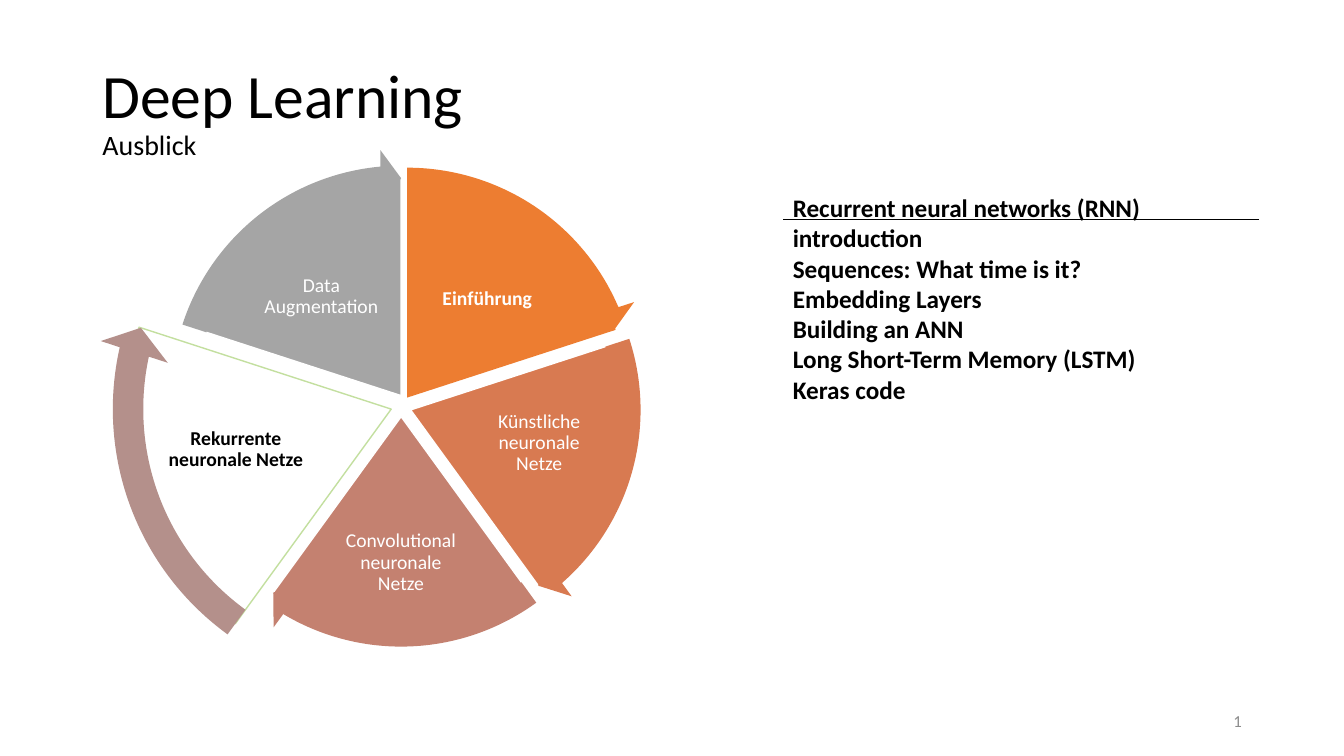
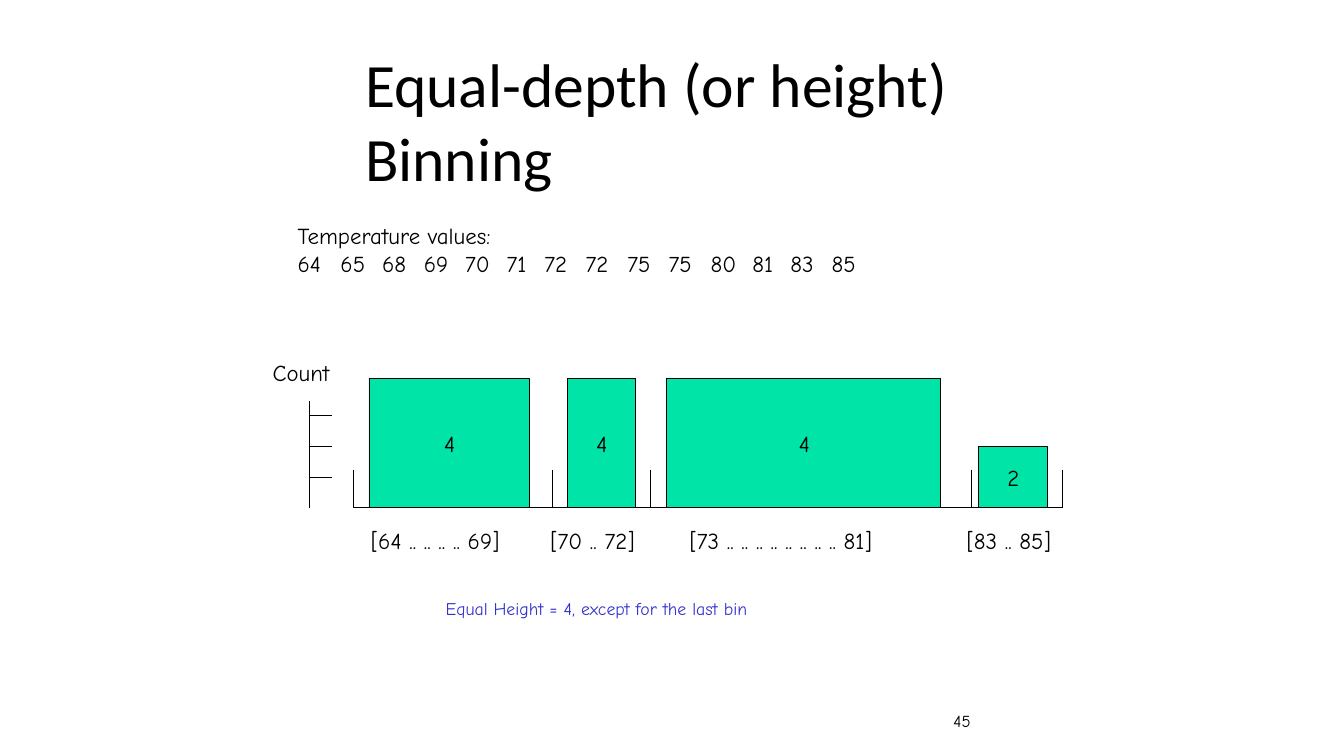
from lxml import etree
from pptx import Presentation
from pptx.dml.color import RGBColor
from pptx.enum import shapes, text
from pptx.oxml.ns import qn
from pptx.util import Cm, Pt

BLACK = RGBColor(0x00, 0x00, 0x00)
WHITE = RGBColor(0xFF, 0xFF, 0xFF)
GREY = RGBColor(0x8C, 0x8C, 0x8C)
ORANGE = RGBColor(0xED, 0x7D, 0x31)
COPPER = RGBColor(0xD8, 0x7A, 0x51)
ROSE = RGBColor(0xC4, 0x81, 0x70)
MAUVE = RGBColor(0xB4, 0x90, 0x8B)
SILVER = RGBColor(0xA5, 0xA5, 0xA5)
LIME = RGBColor(0xC3, 0xDF, 0x9F)
MINT = RGBColor(0x00, 0xE4, 0xA8)
BLUE = RGBColor(0x33, 0x33, 0xCC)

SANS = "Calibri"
COMIC = "Comic Neue"
LEFT, CENTER, RIGHT = (text.PP_ALIGN.LEFT, text.PP_ALIGN.CENTER,
                       text.PP_ALIGN.RIGHT)
TOP, MIDDLE = text.MSO_ANCHOR.TOP, text.MSO_ANCHOR.MIDDLE
USUAL_MARGINS = (0.25, 0.13, 0.25, 0.13)
TIGHT_MARGINS = (0.03, 0.03, 0, 0)
PAGE_NUMBER_BOX = (23.93, 17.65, 7.62, 1.02)

# Clockwise from the top; lengths in cm
SEGMENTS = [
    dict(label="Einführung", centre=(10.26, 10.02), fill=ORANGE, line=None,
         box=(10.5, 6.35, 3.56, 2.36), bold=True),
    dict(label="Künstliche neuronale Netze", centre=(10.35, 10.33),
         fill=COPPER, line=WHITE, box=(11.95, 9.85, 3.28, 2.64)),
    dict(label="Convolutional neuronale Netze", centre=(10.11, 10.50),
         fill=ROSE, line=WHITE, box=(8.53, 12.73, 3.15, 2.9)),
    dict(label="Rekurrente neuronale Netze", centre=(9.86, 10.31),
         fill=WHITE, line=LIME, box=(3.95, 9.75, 3.99, 3.18), bold=True,
         color=BLACK, arrow=MAUVE, pie_size=13.36, arrow_size=15.04),
    dict(label="Data Augmentation", centre=(10.11, 9.97), fill=SILVER,
         line=WHITE, box=(6.32, 6.3, 3.56, 2.36)),
]
PIE_SIZE, ARROW_SIZE = 11.05, 12.42
FULL_TURN = 216  # 360 degrees in adjustment units
FIRST_ANGLE = 162
ARROW_HEAD_ANGLE = 3.275

TOPICS = [
    "Recurrent neural networks (RNN)",
    "introduction",
    "Sequences: What time is it?",
    "Embedding Layers",
    "Building an ANN",
    "Long Short-Term Memory (LSTM)",
    "Keras code",
]

TEMPERATURES = [64, 65, 68, 69, 70, 71, 72, 72, 75, 75, 80, 81, 83, 85]
TAB_STOPS = [1.08, 2.13, 3.18, 4.22, 5.27, 6.22, 7.26, 8.31, 9.35, 10.41,
             11.46, 12.42, 13.46]
BASELINE = 12.79
BIN_EDGES = [8.92, 13.91, 16.4, 24.47, 26.77]
EDGE_HEIGHT = 0.95
# count, bar left, bar width, bar height, label, label left, label width
BINS = [
    (4, 9.3, 4.04, 3.26, "[64 .. .. .. .. 69]", 9.32, 3.91),
    (4, 14.29, 1.73, 3.26, "[70 .. 72]", 13.84, 2.54),
    (4, 16.8, 6.91, 3.26, "[73 .. .. .. .. .. .. .. .. 81]", 17.35, 5.66),
    (2, 24.66, 1.73, 1.54, "[83 .. 85]", 24.33, 2.54),
]
COUNT_AXIS = dict(left=7.79, right=8.37, top=10.11, step=0.77, ticks=3)


def place(values):
    return [Cm(value) for value in values]


def style_span(span, size, font=SANS, color=BLACK, bold=False):
    span.font.size = Pt(size)
    span.font.name = font
    span.font.color.rgb = color
    span.font.bold = bold


def set_frame(frame, margins, anchor):
    frame.word_wrap = True
    frame.auto_size = text.MSO_AUTO_SIZE.NONE
    frame.vertical_anchor = anchor
    (frame.margin_left, frame.margin_top,
     frame.margin_right, frame.margin_bottom) = place(margins)


def write(shape, lines, size, align=LEFT, anchor=TOP, margins=TIGHT_MARGINS,
          spacing=1.0, **style):
    """Fill a shape with one paragraph per line."""
    frame = shape.text_frame
    set_frame(frame, margins, anchor)
    for index, line in enumerate(lines):
        para = frame.add_paragraph() if index else frame.paragraphs[0]
        para.alignment = align
        para.line_spacing = spacing
        span = para.add_run()
        span.text = line
        style_span(span, size, **style)
    return frame


def add_text(page, box, lines, size, **options):
    return write(page.shapes.add_textbox(*place(box)), lines, size, **options)


def add_line(page, start, end, width):
    line = page.shapes.add_connector(
        shapes.MSO_CONNECTOR.STRAIGHT, *place(start + end))
    line.line.color.rgb = BLACK
    line.line.width = Pt(width)
    etree.SubElement(line._element.spPr, qn("a:effectLst"))


def add_strokes(page, strokes):
    """Draw several open polylines as one outline."""
    builder = page.shapes.build_freeform(*place(strokes[0][0]))
    for index, (first, *others) in enumerate(strokes):
        if index:
            builder.move_to(*place(first))
        builder.add_line_segments([place(point) for point in others],
                                  close=False)
    outline = builder.convert_to_shape()
    outline.shadow.inherit = False
    outline.fill.background()
    outline.line.color.rgb = BLACK
    outline.line.width = Pt(0.6)


def add_shape(page, kind, box, fill, line=None, width=1, adjustments=()):
    shape = page.shapes.add_shape(kind, *place(box))
    shape.shadow.inherit = False
    shape.fill.solid()
    shape.fill.fore_color.rgb = fill
    if line is None:
        shape.line.fill.background()
    else:
        shape.line.color.rgb = line
        shape.line.width = Pt(width)
    for index, value in enumerate(adjustments):
        shape.adjustments[index] = value
    return shape


def add_page(deck, box, title, subtitle=None, margins=USUAL_MARGINS,
             spacing=1.0):
    page = deck.slides.add_slide(deck.slide_layouts[5])
    heading = page.shapes.title
    heading.left, heading.top, heading.width, heading.height = place(box)
    frame = write(heading, [title], 44, anchor=MIDDLE, margins=margins,
                  spacing=spacing)
    if subtitle:
        para = frame.paragraphs[0]
        para.add_line_break()
        span = para.add_run()
        span.text = subtitle
        style_span(span, 20)
    return page


def square(centre, size):
    return (centre[0] - size / 2, centre[1] - size / 2, size, size)


def add_cycle(page):
    step = FULL_TURN / len(SEGMENTS)
    angles = [((FIRST_ANGLE + step * index) % FULL_TURN,
               (FIRST_ANGLE + step * (index + 1)) % FULL_TURN)
              for index in range(len(SEGMENTS))]
    for segment, (start, end) in zip(SEGMENTS, angles):
        add_shape(page, shapes.MSO_SHAPE.PIE,
                  square(segment["centre"], segment.get("pie_size", PIE_SIZE)),
                  segment["fill"], segment["line"], adjustments=(start, end))
        add_text(page, segment["box"], [segment["label"]], 14, align=CENTER,
                 anchor=MIDDLE, margins=(0.05,) * 4, spacing=0.9,
                 color=segment.get("color", WHITE),
                 bold=segment.get("bold", False))
    for segment, (start, end) in zip(SEGMENTS, angles):
        size = segment.get("arrow_size", ARROW_SIZE)
        add_shape(page, shapes.MSO_SHAPE.CIRCULAR_ARROW,
                  square(segment["centre"], size),
                  segment.get("arrow", segment["fill"]),
                  adjustments=(0.051, ARROW_HEAD_ANGLE,
                               end - ARROW_HEAD_ANGLE, start, 0.059))


def build_outlook(deck):
    page = add_page(deck, (2.33, 1.02, 29.21, 3.68), "Deep Learning",
                    "Ausblick", spacing=0.9)
    add_text(page, PAGE_NUMBER_BOX, ["1"], 12, align=RIGHT, anchor=MIDDLE,
             margins=USUAL_MARGINS, color=GREY)
    add_cycle(page)
    add_text(page, (19.73, 4.72, 11.4, 6.4), TOPICS, 18, bold=True,
             margins=USUAL_MARGINS)
    add_line(page, (31.73, 5.54), (19.72, 5.54), width=0.75)


def add_temperatures(page):
    values = "\t".join(str(value) for value in TEMPERATURES)
    frame = add_text(page, (7.47, 5.56, 14.2, 1.42),
                     ["Temperature values:", values], 16.3, font=COMIC)
    properties = frame.paragraphs[1]._p.get_or_add_pPr()
    stops = etree.SubElement(properties, qn("a:tabLst"))
    for stop in TAB_STOPS:
        etree.SubElement(stops, qn("a:tab"), algn="l", pos=str(Cm(stop)))


def add_histogram(page):
    edges = [[(edge, BASELINE - EDGE_HEIGHT), (edge, BASELINE)]
             for edge in BIN_EDGES]
    add_strokes(page, [edges[0] + [(BIN_EDGES[-1], BASELINE)]])
    add_strokes(page, edges[1:])
    for count, left, width, height, label, label_left, label_width in BINS:
        bar = add_shape(page, shapes.MSO_SHAPE.RECTANGLE,
                        (left, BASELINE - height, width, height),
                        MINT, BLACK, 0.6)
        write(bar, [str(count)], 16.3, align=CENTER, anchor=MIDDLE,
              font=COMIC)
        add_text(page, (label_left, 13.23, label_width, 0.74), [label], 16.3,
                 font=COMIC)

    axis = COUNT_AXIS
    levels = [BASELINE - tick * axis["step"]
              for tick in range(1, axis["ticks"] + 1)]
    ticks = [[(axis["left"], level), (axis["right"], level)]
             for level in levels]
    add_strokes(page, [[(axis["left"], axis["top"]),
                        (axis["left"], BASELINE)]] + ticks)
    add_text(page, (6.84, 9.0, 1.8, 0.74), ["Count"], 16.3, font=COMIC)


def build_binning(deck):
    page = add_page(deck, (9.17, 1.12, 15.6, 3.78),
                    "Equal-depth (or height) Binning", margins=TIGHT_MARGINS)
    add_text(page, PAGE_NUMBER_BOX, ["45"], 12, anchor=MIDDLE,
             margins=(0.1, 0.03, 0, 0), font=COMIC)
    add_text(page, (11.2, 15.04, 8.51, 0.58),
             ["Equal Height = 4, except for the last bin"], 12.7,
             font=COMIC, color=BLUE)
    add_temperatures(page)
    add_histogram(page)


def main():
    deck = Presentation()
    deck.slide_width, deck.slide_height = Cm(33.87), Cm(19.05)
    build_outlook(deck)
    build_binning(deck)
    deck.save("out.pptx")


if __name__ == "__main__":
    main()
